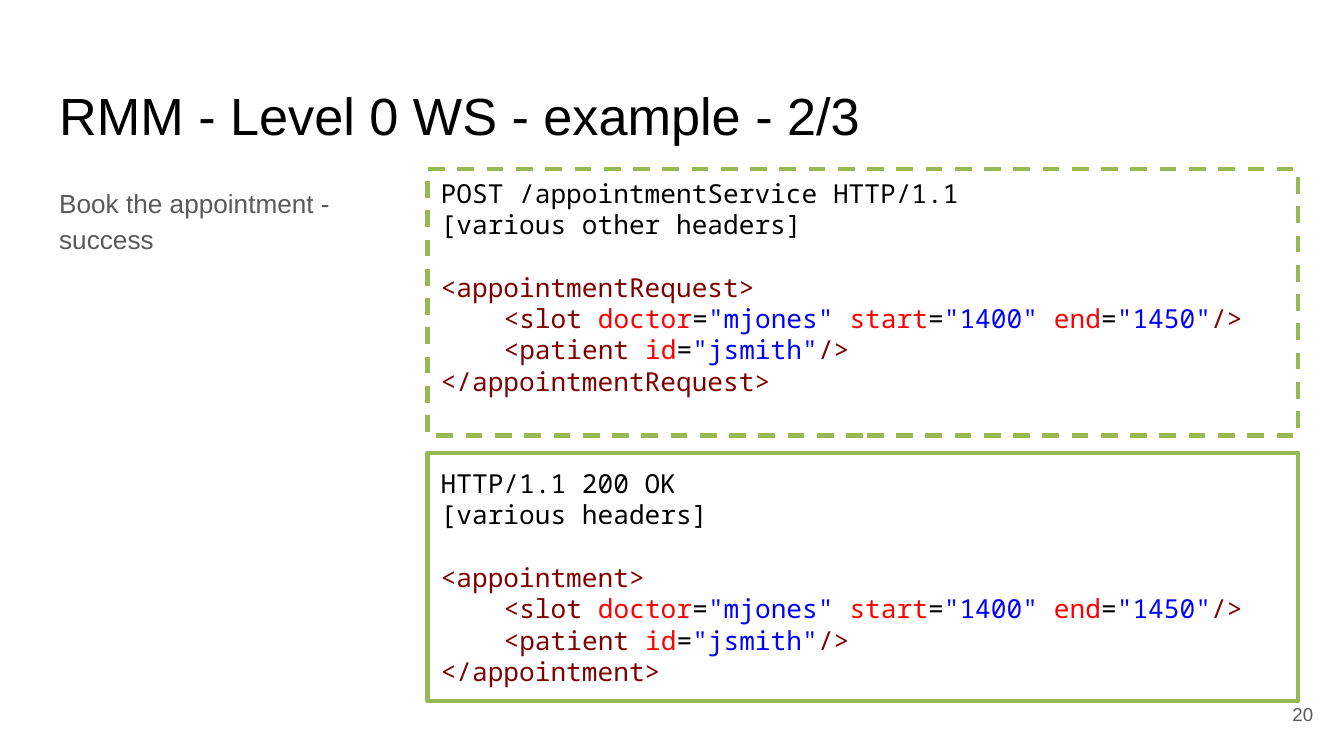
from pptx import Presentation
from pptx.dml.color import RGBColor
from pptx.enum.dml import MSO_LINE
from pptx.enum.shapes import MSO_SHAPE
from pptx.enum.text import MSO_ANCHOR, MSO_AUTO_SIZE, PP_ALIGN
from pptx.oxml.ns import qn
from pptx.util import Pt

BLACK = RGBColor(0x00, 0x00, 0x00)
GRAY = RGBColor(0x59, 0x59, 0x59)
GREEN = RGBColor(0x97, 0xB8, 0x53)
MAROON = RGBColor(0x80, 0x00, 0x00)
RED = RGBColor(0xFF, 0x00, 0x00)
BLUE = RGBColor(0x00, 0x00, 0xFF)

TOP, MIDDLE = MSO_ANCHOR.TOP, MSO_ANCHOR.MIDDLE
LEFT, RIGHT = PP_ALIGN.LEFT, PP_ALIGN.RIGHT
RECTANGLE = MSO_SHAPE.RECTANGLE
DASH = MSO_LINE.DASH

SANS, MONO = "Arial", "Noto Sans Mono"
INSET = 7.2
CODE_LINE = 16.8
INDENT = "    "


def place(s, left, top, width, height):
    s.left, s.top, s.width, s.height = Pt(left), Pt(top), Pt(width), Pt(height)


def set_frame(tf, anchor=TOP, inset_top=INSET, inset_bottom=INSET):
    tf.word_wrap = True
    tf.auto_size = MSO_AUTO_SIZE.NONE
    tf.vertical_anchor = anchor
    tf.margin_left = tf.margin_right = Pt(INSET)
    tf.margin_top, tf.margin_bottom = Pt(inset_top), Pt(inset_bottom)


def write(p, runs, size=14, font=SANS, align=LEFT, before=0, after=0, spacing=1):
    """Fill a paragraph with (text, colour) runs in one format."""
    p.alignment = align
    p.space_before, p.space_after = Pt(before), Pt(after)
    p.line_spacing = spacing
    for text, color in runs:
        r = p.add_run()
        r.text = text
        r.font.name = font
        r.font.size = Pt(size)
        r.font.color.rgb = color


def remove_bullet(p):
    pPr = p._p.get_or_add_pPr()
    pPr.set("marL", "0")
    pPr.set("indent", "0")
    pPr.append(pPr.makeelement(qn("a:buNone"), {}))


def element_runs(name, **attributes):
    """Return the coloured runs of an indented, self-closing XML element."""
    runs = [(INDENT, BLACK), (f"<{name}", MAROON)]
    for key, value in attributes.items():
        runs += [(" ", BLACK), (key, RED), ("=", BLACK), (f'"{value}"', BLUE)]
    return runs + [("/>", MAROON)]


def add_message(slide, top, height, headers, root, dash=None, **insets):
    """Add a framed HTTP message: header lines, a gap, then the XML body."""
    s = slide.shapes.add_shape(RECTANGLE, Pt(229), Pt(top), Pt(466.5), Pt(height))
    s.shadow.inherit = False
    s.fill.background()
    s.line.color.rgb = GREEN
    s.line.width = Pt(2.25)
    if dash:
        s.line.dash_style = dash
    tf = s.text_frame
    set_frame(tf, anchor=MIDDLE, **insets)
    lines = [[(text, BLACK)] for text in headers] + [
        [(f"<{root}>", MAROON)],
        element_runs("slot", doctor="mjones", start="1400", end="1450"),
        element_runs("patient", id="jsmith"),
        [(f"</{root}>", MAROON)],
    ]
    for i, runs in enumerate(lines):
        p = tf.add_paragraph() if i else tf.paragraphs[0]
        write(p, runs, font=MONO, before=CODE_LINE if i == len(headers) else 0)


def add_title(slide, text):
    s = slide.shapes.title
    place(s, 24.5, 35.3, 671, 45.4)
    set_frame(s.text_frame, inset_top=9.5)
    write(s.text_frame.paragraphs[0], [(text, BLACK)], size=28)


def add_body(slide, text):
    s = slide.placeholders[1]
    place(s, 24.5, 90.7, 189.4, 269.3)
    set_frame(s.text_frame)
    p = s.text_frame.paragraphs[0]
    remove_bullet(p)
    write(p, [(text, GRAY)], after=16, spacing=1.15)


def add_page_number(slide, number):
    s = slide.shapes.add_textbox(Pt(667.4), Pt(367.2), Pt(43.2), Pt(31))
    set_frame(s.text_frame, anchor=MIDDLE)
    write(s.text_frame.paragraphs[0], [(number, GRAY)], size=10, align=RIGHT)


def main():
    prs = Presentation()
    prs.slide_width, prs.slide_height = Pt(720), Pt(405)
    slide = prs.slides.add_slide(prs.slide_layouts[1])
    add_title(slide, "RMM - Level 0 WS - example - 2/3")
    add_body(slide, "Book the appointment - success")
    add_page_number(slide, "20")
    add_message(
        slide, 90.7, 142.6,
        ["POST /appointmentService HTTP/1.1", "[various other headers]"],
        "appointmentRequest", dash=DASH,
        inset_top=4, inset_bottom=4 + CODE_LINE,
    )
    add_message(
        slide, 242.7, 133,
        ["HTTP/1.1 200 OK", "[various headers]"], "appointment",
    )
    prs.save("out.pptx")


if __name__ == "__main__":
    main()
